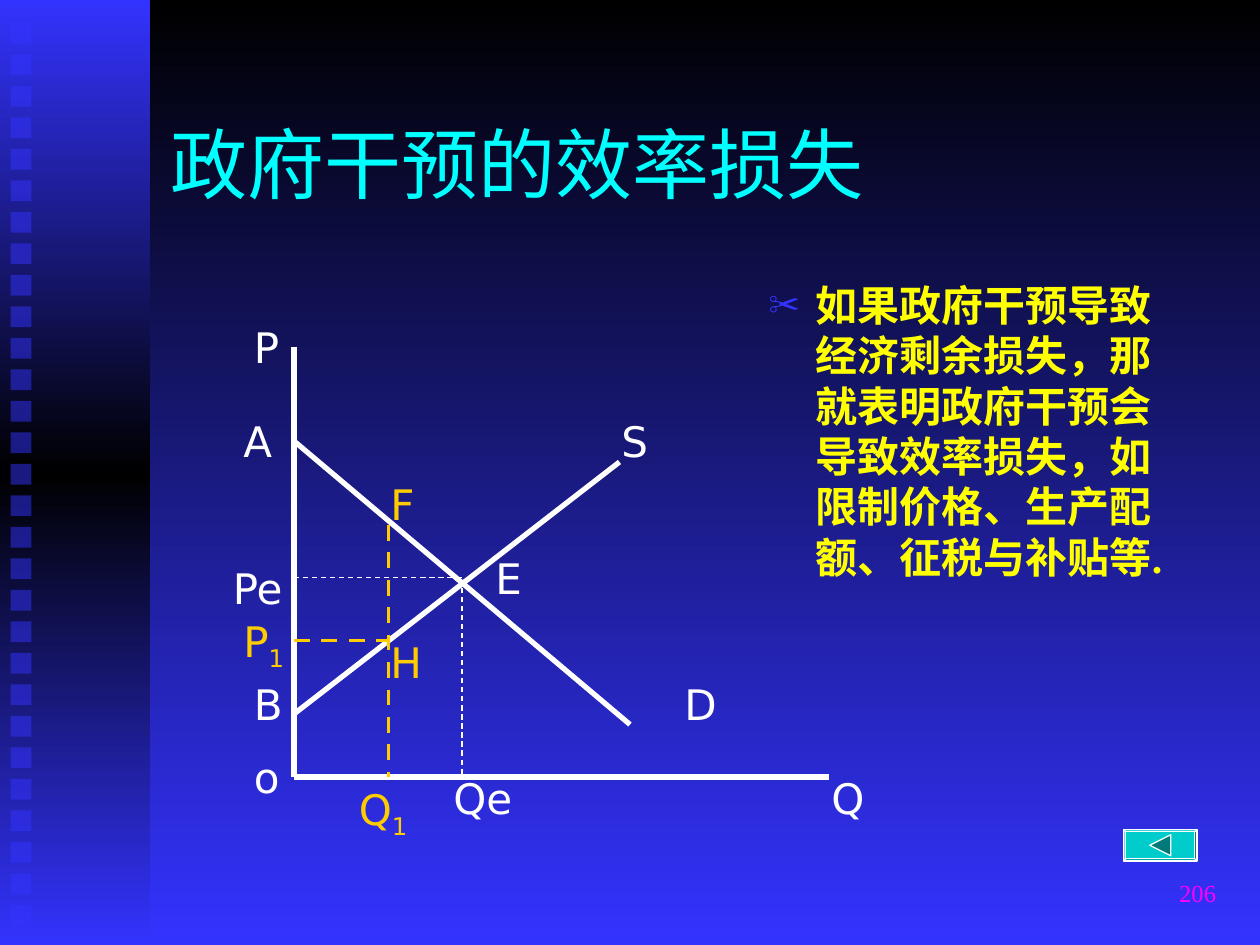
import copy
from dataclasses import dataclass

import pptx
import pptx.dml.color
import pptx.enum.dml
import pptx.enum.shapes
import pptx.enum.text
import pptx.oxml.ns
import pptx.util
from lxml import etree

Pt = pptx.util.Pt
RGBColor = pptx.dml.color.RGBColor
SHAPE = pptx.enum.shapes.MSO_SHAPE
ALIGN = pptx.enum.text.PP_ALIGN
ANCHOR = pptx.enum.text.MSO_ANCHOR
AUTO = pptx.enum.text.MSO_AUTO_SIZE
DASH = pptx.enum.dml.MSO_LINE.DASH
qn = pptx.oxml.ns.qn

BLACK = RGBColor(0x00, 0x00, 0x00)
BLUE = RGBColor(0x33, 0x33, 0xFF)
WHITE = RGBColor(0xFF, 0xFF, 0xFF)
GOLD = RGBColor(0xFF, 0xCC, 0x00)
CYAN = RGBColor(0x00, 0xFF, 0xFF)
YELLOW = RGBColor(0xFF, 0xFF, 0x00)
MAGENTA = RGBColor(0xFF, 0x00, 0xFF)
TEAL = RGBColor(0x00, 0xCC, 0xCC)
DARK_TEAL = RGBColor(0x00, 0x7A, 0x7A)

SERIF, SANS = "Times New Roman", "DejaVu Sans"


@dataclass
class Line:
    x1: float
    y1: float
    x2: float
    y2: float
    color: RGBColor = WHITE
    weight: float = 3
    dashed: bool = False


@dataclass
class Label:
    text: str
    x: float
    y: float
    w: float = 42
    sub: str = ""
    color: RGBColor = WHITE


ORIGIN_X, ORIGIN_Y = 168, 444
QE_X, PE_Y = 264, 330
Q1_X, P1_Y = 222, 366

LINES = [
    Line(ORIGIN_X, 198, ORIGIN_X, ORIGIN_Y),  # price axis
    Line(ORIGIN_X, ORIGIN_Y, 474, ORIGIN_Y),  # quantity axis
    Line(ORIGIN_X, 252, 360, 414),  # demand
    Line(ORIGIN_X, 408, 354, 264),  # supply
    Line(ORIGIN_X, PE_Y, QE_X, PE_Y, WHITE, 0.75, True),
    Line(QE_X, 336, QE_X, ORIGIN_Y, WHITE, 0.75, True),
    Line(ORIGIN_X, P1_Y, Q1_X, P1_Y, GOLD, 2.25, True),
    Line(Q1_X, 300, Q1_X, ORIGIN_Y, GOLD, 2.25, True),
]

LABELS = [
    Label("o", 138, 426),
    Label("Q", 468, 438),
    Label("D", 384, 384),
    Label("S", 348, 234),
    Label("E", 276, 312),
    Label("Pe", 126, 318, 66),
    Label("Qe", 252, 438, 66),
    Label("P", 138, 180, 66),
    Label("A", 132, 234),
    Label("B", 138, 384),
    Label("P", 132, 348, 66, "1", GOLD),
    Label("Q", 198, 444, 66, "1", GOLD),
    Label("F", 216, 270, color=GOLD),
    Label("H", 216, 360, color=GOLD),
]


def set_attrs(obj, **values) -> None:
    for name, value in values.items():
        setattr(obj, name, value)


def place(sp, x: float, y: float, w: float, h: float) -> None:
    set_attrs(sp, left=Pt(x), top=Pt(y), width=Pt(w), height=Pt(h))


def add_run(p, text: str, font: str, size: float, color: RGBColor, bold=False):
    r = p.add_run()
    r.text = text
    set_attrs(r.font, name=font, size=Pt(size), bold=bold)
    r.font.color.rgb = color
    return r


def set_gradient(fill, root, colors: list[RGBColor]) -> None:
    """Fill from top to bottom with evenly spaced colours."""
    fill.gradient()
    fill.gradient_angle = 270
    stops = root.find(".//" + qn("a:gsLst"))
    while len(stops) < len(colors):
        stops.append(copy.deepcopy(stops[-1]))
    for i, (stop, color) in enumerate(zip(fill.gradient_stops, colors)):
        stop.color.rgb = color
        stop.position = i / (len(colors) - 1)


def add_plain_shape(s, kind, x: float, y: float, w: float, h: float):
    sp = s.shapes.add_shape(kind, Pt(x), Pt(y), Pt(w), Pt(h))
    sp.shadow.inherit = False
    sp.line.fill.background()
    return sp


def add_sidebar(s) -> None:
    sp = add_plain_shape(s, SHAPE.RECTANGLE, 0, 0, 85.7, 540)
    set_gradient(sp.fill, sp._element.spPr, [BLUE, BLACK, BLUE])
    for i in range(29):
        sp = add_plain_shape(s, SHAPE.RECTANGLE, 6, 13 + 18 * i, 12, 12)
        sp.fill.solid()
        sp.fill.fore_color.rgb = BLUE
        color = sp._element.spPr.find(".//" + qn("a:srgbClr"))
        etree.SubElement(color, qn("a:alpha"), val="50000")


def add_line(s, line: Line) -> None:
    sp = s.shapes.add_connector(
        pptx.enum.shapes.MSO_CONNECTOR.STRAIGHT,
        Pt(line.x1), Pt(line.y1), Pt(line.x2), Pt(line.y2))
    sp.line.color.rgb = line.color
    sp.line.width = Pt(line.weight)
    if line.dashed:
        sp.line.dash_style = DASH.DASH
    etree.SubElement(sp._element.spPr, qn("a:effectLst"))


def add_label(s, label: Label) -> None:
    height = 40 if label.sub else 36
    sp = s.shapes.add_textbox(Pt(label.x), Pt(label.y), Pt(label.w), Pt(height))
    tf = sp.text_frame
    set_attrs(tf, word_wrap=True, auto_size=AUTO.SHAPE_TO_FIT_TEXT)
    p = tf.paragraphs[0]
    add_run(p, label.text, SANS, 24, label.color)
    if label.sub:
        r = add_run(p, label.sub, SANS, 24, label.color)
        r.font._element.set("baseline", "-25000")


def add_bullet(p, char: str, color: RGBColor, percent: int, indent: float) -> None:
    pPr = p._p.get_or_add_pPr()
    pPr.set("marL", str(Pt(indent)))
    pPr.set("indent", str(-Pt(indent)))
    bu_color = etree.SubElement(pPr, qn("a:buClr"))
    etree.SubElement(bu_color, qn("a:srgbClr"), val=str(color))
    etree.SubElement(pPr, qn("a:buSzPct"), val=str(percent * 1000))
    etree.SubElement(pPr, qn("a:buChar"), char=char)


def add_back_button(s) -> None:
    frame = add_plain_shape(s, SHAPE.BEVEL, 642, 474, 42, 18)
    frame.adjustments[0] = 0.07
    builder = s.shapes.build_freeform(657.4, 483, scale=Pt(1))
    builder.add_line_segments([(669, 477.4), (669, 488.9)], close=True)
    arrow = builder.convert_to_shape()
    arrow.shadow.inherit = False
    for sp, color in ((frame, TEAL), (arrow, DARK_TEAL)):
        sp.fill.solid()
        sp.fill.fore_color.rgb = color
        sp.line.color.rgb = WHITE
        sp.line.width = Pt(0.75)


def main() -> None:
    prs = pptx.Presentation()
    set_attrs(prs, slide_width=Pt(720), slide_height=Pt(540))
    s = prs.slides.add_slide(prs.slide_layouts[1])
    set_gradient(s.background.fill, s._element, [BLACK, BLUE])
    add_sidebar(s)

    # Title
    title = s.shapes.title
    place(title, 90, 48, 612, 90)
    set_attrs(title.text_frame, vertical_anchor=ANCHOR.MIDDLE, auto_size=AUTO.NONE)
    p = title.text_frame.paragraphs[0]
    p.alignment = ALIGN.LEFT
    add_run(p, "政府干预的效率损失", SERIF, 44, CYAN)

    # Body
    body = s.placeholders[1]
    place(body, 432, 156, 240, 222)
    body.text_frame.auto_size = AUTO.NONE
    p = body.text_frame.paragraphs[0]
    p.space_before = Pt(0)
    add_bullet(p, "✂", BLUE, 75, 27)
    add_run(p, "如果政府干预导致经济剩余损失，那就表明政府干预会导致效率损失，"
               "如限制价格、生产配额、征税与补贴等.", SERIF, 24, YELLOW, bold=True)

    # Supply and demand diagram
    for line in LINES:
        add_line(s, line)
    for label in LABELS:
        add_label(s, label)

    # Back button and slide number
    add_back_button(s)
    number = s.shapes.add_textbox(Pt(552), Pt(492), Pt(150), Pt(36))
    set_attrs(number.text_frame, word_wrap=True, vertical_anchor=ANCHOR.MIDDLE)
    p = number.text_frame.paragraphs[0]
    p.alignment = ALIGN.RIGHT
    add_run(p, "206", SERIF, 14, MAGENTA)

    prs.save("out.pptx")


if __name__ == "__main__":
    main()
